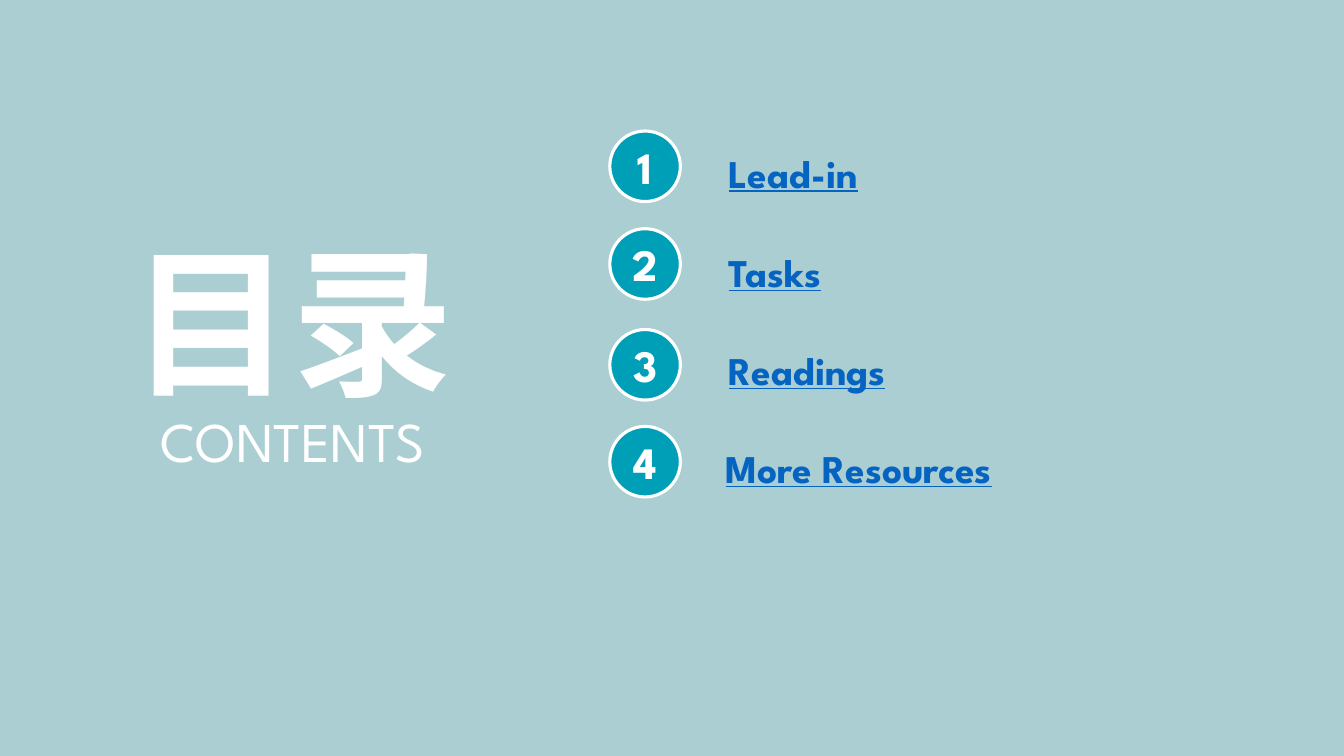
from lxml import etree
from pptx import Presentation
from pptx.dml.color import RGBColor
from pptx.enum.shapes import MSO_SHAPE
from pptx.enum.text import MSO_ANCHOR, MSO_AUTO_SIZE, PP_ALIGN
from pptx.oxml.ns import qn
from pptx.util import Pt

OVAL = MSO_SHAPE.OVAL
TOP, MIDDLE = MSO_ANCHOR.TOP, MSO_ANCHOR.MIDDLE
GROW = MSO_AUTO_SIZE.SHAPE_TO_FIT_TEXT
LEFT, CENTER = PP_ALIGN.LEFT, PP_ALIGN.CENTER
LATIN, HAN = "League Spartan", "Noto Sans CJK SC"
WHITE, TEAL, BLUE, MIST = "FFFFFF", "009FB8", "0563C1", "AACED2"


def paint(fill, color):
    fill.solid()
    fill.fore_color.rgb = RGBColor.from_string(color)


def write(shape, text, size, color=WHITE, bold=True, align=CENTER,
          face=LATIN, anchor=TOP, wrap=False):
    frame = shape.text_frame
    frame.text = text
    frame.word_wrap = wrap
    frame.vertical_anchor = anchor
    if not wrap:
        frame.auto_size = GROW
    para = frame.paragraphs[0]
    para.alignment = align
    font = para.font
    font.name, font.size, font.bold = face, Pt(size), bold
    paint(font.fill, color)
    return font


deck = Presentation()
deck.slide_width, deck.slide_height = Pt(960), Pt(540)
slide = deck.slides.add_slide(deck.slide_layouts[5])
paint(slide.background.fill, MIST)
shapes = slide.shapes

# Title and its English line
title = shapes.title
title.left, title.top, title.width, title.height = Pt(85.7), Pt(155.5), Pt(247), Pt(146.9)
font = write(title, "目录", 115, face=HAN)
# East Asian face for the Han characters
latin = font._element.find(qn("a:latin"))
east = etree.Element(qn("a:ea"), typeface=HAN)
latin.addnext(east)

label = shapes.add_textbox(Pt(100.1), Pt(286.6), Pt(218.2), Pt(55.4))
write(label, "CONTENTS", 40, bold=False)

# Numbered topics: text, left, top and width of the topic, top of its disc
topics = [
    ("Lead-in", 513.4, 103, 116.6, 93.6),
    ("Tasks", 513.4, 174.2, 85.7, 163.4),
    ("Readings", 513.4, 244.1, 139.7, 235.4),
    ("More Resources", 511.2, 313.9, 230.4, 304.6),
]
for num, (text, left, top, width, disc_top) in enumerate(topics, 1):
    topic = shapes.add_textbox(Pt(left), Pt(top), Pt(width), Pt(41))
    write(topic, text, 28, BLUE, align=LEFT).underline = True

    disc = shapes.add_shape(OVAL, Pt(435.6), Pt(disc_top), Pt(50.4), Pt(50.4))
    disc.shadow.inherit = False
    paint(disc.fill, TEAL)
    paint(disc.line.fill, WHITE)
    disc.line.width = Pt(2.25)
    write(disc, str(num), 32, anchor=MIDDLE, wrap=True)

deck.save("out.pptx")
